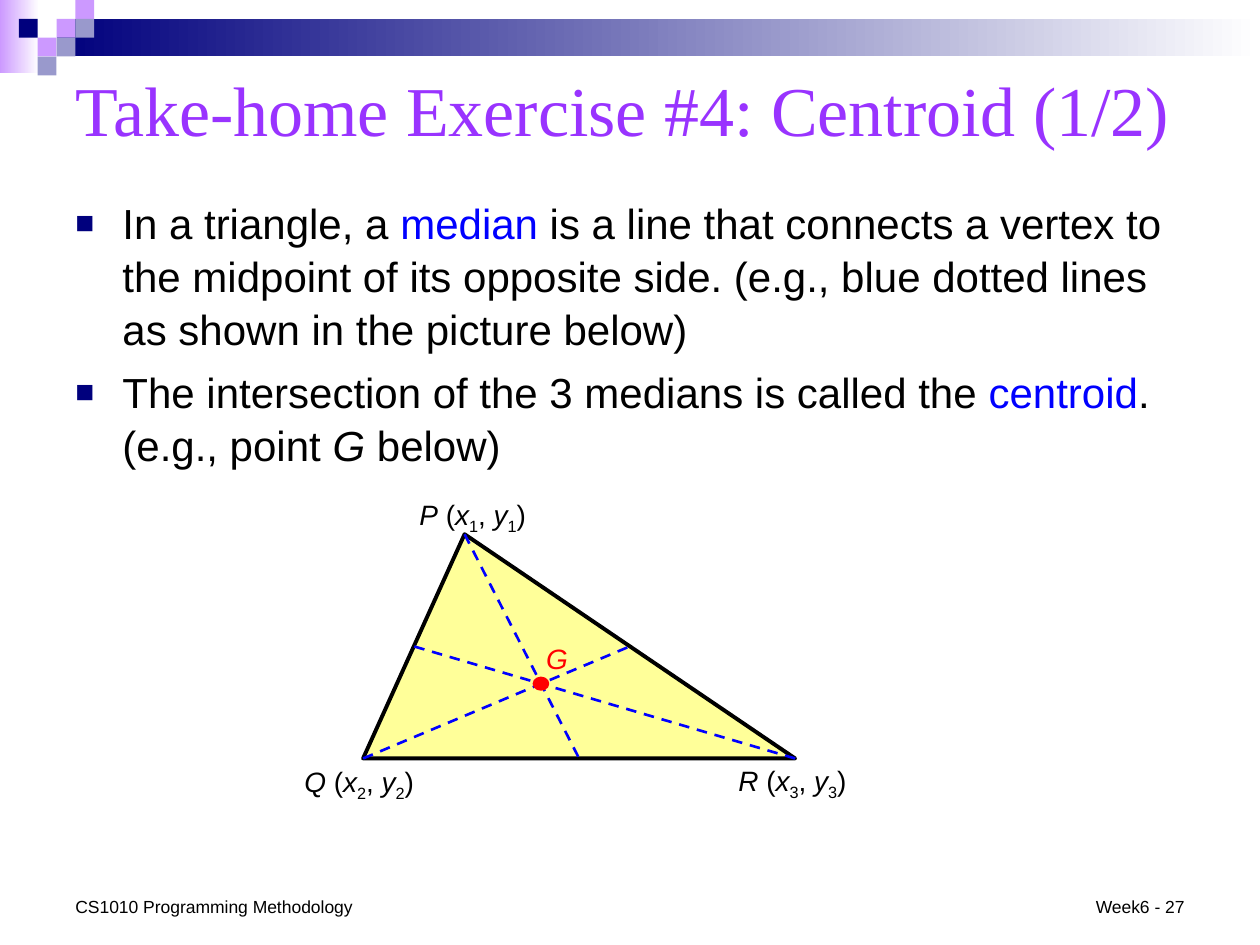
import pptx
import pptx.util
import pptx.dml.color
import pptx.enum.dml
import pptx.enum.shapes
import pptx.enum.text
import pptx.oxml
import pptx.oxml.ns
from lxml import etree

Cm, Pt = pptx.util.Cm, pptx.util.Pt
RGBColor = pptx.dml.color.RGBColor
SHAPE = pptx.enum.shapes.MSO_SHAPE
ALIGN = pptx.enum.text.PP_ALIGN
ANCHOR = pptx.enum.text.MSO_ANCHOR
qn = pptx.oxml.ns.qn

WHITE = RGBColor(0xFF, 0xFF, 0xFF)
BLACK = RGBColor(0, 0, 0)
NAVY = RGBColor(0, 0, 0x7D)
LILAC = RGBColor(0xCC, 0x99, 0xFF)
SLATE = RGBColor(0x99, 0x99, 0xCC)
PURPLE = RGBColor(0x99, 0x33, 0xFF)
BLUE = RGBColor(0, 0, 0xFF)
RED = RGBColor(0xFF, 0, 0)
YELLOW = RGBColor(0xFF, 0xFF, 0x99)


def add_shape(shapes, kind, x, y, w, h, fill, line=None, weight=1):
    """Add a preset shape; a pair of colours as fill gives a gradient."""
    sp = shapes.add_shape(kind, Cm(x), Cm(y), Cm(w), Cm(h))
    sp.shadow.inherit = False
    if isinstance(fill, list):
        sp.fill.gradient()
        sp.fill.gradient_angle = 0
        for stop, color in zip(sp.fill.gradient_stops, fill):
            stop.color.rgb = color
    else:
        sp.fill.solid()
        sp.fill.fore_color.rgb = fill
    if line is None:
        sp.line.fill.background()
    else:
        sp.line.color.rgb = line
        sp.line.width = Pt(weight)
    return sp


def add_median(shapes, start, end):
    line = shapes.add_connector(pptx.enum.shapes.MSO_CONNECTOR.STRAIGHT,
                                *[Cm(v) for v in (*start, *end)])
    line.line.color.rgb = BLUE
    line.line.width = Pt(1.5)
    line.line.dash_style = pptx.enum.dml.MSO_LINE.DASH
    etree.SubElement(line._element.spPr, qn("a:effectLst"))


def add_run(p, text, size, color=BLACK, font="Arial", italic=False, sub=False):
    r = p.add_run()
    r.text = text
    r.font.size = Pt(size)
    r.font.name = font
    r.font.color.rgb = color
    r.font.italic = italic
    if sub:
        r.font._element.set("baseline", "-25000")


def add_text(shapes, x, y, w, h, runs, size, align=ALIGN.LEFT,
             anchor=ANCHOR.TOP, wrap=True):
    """Add a one-paragraph text box; runs are (text, format) pairs."""
    tf = shapes.add_textbox(Cm(x), Cm(y), Cm(w), Cm(h)).text_frame
    tf.word_wrap = wrap
    tf.vertical_anchor = anchor
    p = tf.paragraphs[0]
    p.alignment = align
    for text, style in runs:
        add_run(p, text, size, **style)


def add_bullet(p):
    pPr = p._p.get_or_add_pPr()
    pPr.set("marL", str(Cm(0.95)))
    pPr.set("indent", str(-Cm(0.95)))
    color = etree.SubElement(pPr, qn("a:buClr"))
    etree.SubElement(color, qn("a:srgbClr"), val=str(NAVY))
    etree.SubElement(pPr, qn("a:buSzPct"), val="75000")
    etree.SubElement(pPr, qn("a:buFont"), typeface="Arial")
    etree.SubElement(pPr, qn("a:buChar"), char="■")


def add_bullets(shapes, items):
    tf = shapes.add_textbox(Cm(1.27), Cm(3.81), Cm(22.86), Cm(5.59)).text_frame
    tf.word_wrap = True
    for i, runs in enumerate(items):
        p = tf.add_paragraph() if i else tf.paragraphs[0]
        add_bullet(p)
        p.line_spacing = 1.05
        if i:
            p.space_before = Pt(6)
        for text, style in runs:
            add_run(p, text, 24, **style)


def add_banner(shapes):
    add_shape(shapes, SHAPE.RECTANGLE, 0, 0, 0.79, 1.47, [LILAC, WHITE])
    add_shape(shapes, SHAPE.RECTANGLE, 1.14, 0.38, 24.26, 0.76, [NAVY, WHITE])
    # Mosaic squares on a grid of column, row
    side = 0.38
    for col, row, color in [(3, 1, LILAC), (4, 0, LILAC), (4, 1, SLATE),
                            (2, 2, LILAC), (1, 1, NAVY), (3, 2, SLATE),
                            (2, 3, SLATE)]:
        add_shape(shapes, SHAPE.RECTANGLE, col * side, row * side,
                  side, side, color)


def add_vertex_label(shapes, x, y, w, name, index):
    it, sub = {"italic": True}, {"sub": True}
    runs = [(name, it), (" (", {}), ("x", it), (index, sub), (", ", {}),
            ("y", it), (index, sub), (")", {})]
    add_text(shapes, x, y, w, 0.9, runs, 16, ALIGN.CENTER)


def midpoint(a, b):
    return (a[0] + b[0]) / 2, (a[1] + b[1]) / 2


def add_triangle(shapes):
    x, y, w, h, apex = 7.32, 10.77, 8.71, 4.52, 0.235
    sp = add_shape(shapes, SHAPE.ISOSCELES_TRIANGLE, x, y, w, h,
                   YELLOW, BLACK, 2.25)
    sp.adjustments[0] = apex
    P, Q, R = (x + apex * w, y), (x, y + h), (x + w, y + h)

    # Medians
    for vertex, a, b in [(P, Q, R), (Q, P, R), (R, P, Q)]:
        add_median(shapes, vertex, midpoint(a, b))

    # Vertex labels
    add_vertex_label(shapes, 8.03, 9.91, 3.0, "P", "1")
    add_vertex_label(shapes, 5.82, 15.29, 2.84, "Q", "2")
    add_vertex_label(shapes, 14.58, 15.27, 2.79, "R", "3")

    # Centroid
    add_text(shapes, 10.57, 12.8, 1.32, 0.89,
             [("G", {"color": RED, "italic": True})], 16, ALIGN.CENTER)
    gx, gy = (sum(v) / 3 for v in zip(P, Q, R))
    dot_w, dot_h = 0.3, 0.25
    add_shape(shapes, SHAPE.OVAL, gx - dot_w / 2, gy - dot_h / 2,
              dot_w, dot_h, RED, RED)


def main():
    prs = pptx.Presentation()
    prs.slide_width, prs.slide_height = Cm(25.4), Cm(19.05)
    s = prs.slides.add_slide(prs.slide_layouts[6])

    add_banner(s.shapes.add_group_shape().shapes)

    # Title and body
    add_text(s.shapes, 1.27, 1.07, 22.86, 2.24,
             [("Take-home Exercise #4: Centroid (1/2)",
               {"color": PURPLE, "font": "Times New Roman"})],
             40, anchor=ANCHOR.MIDDLE)
    term = {"color": BLUE}
    add_bullets(s.shapes, [
        [("In a triangle, a ", {}), ("median", term),
         (" is a line that connects a vertex to the midpoint of its opposite "
          "side. (e.g., blue dotted lines as shown in the picture below)", {})],
        [("The intersection of the 3 medians is called the ", {}),
         ("centroid", term), (". (e.g., point ", {}),
         ("G", {"italic": True}), (" below)", {})],
    ])

    # Footer
    add_text(s.shapes, 1.27, 17.93, 6.15, 0.69,
             [("CS1010 Programming Methodology", {})], 10,
             anchor=ANCHOR.BOTTOM)
    add_text(s.shapes, 21.79, 17.93, 2.34, 0.69, [("Week6 - 27", {})], 10,
             ALIGN.RIGHT, ANCHOR.BOTTOM, wrap=False)

    add_triangle(s.shapes.add_group_shape().shapes)
    prs.save("out.pptx")


if __name__ == "__main__":
    main()
